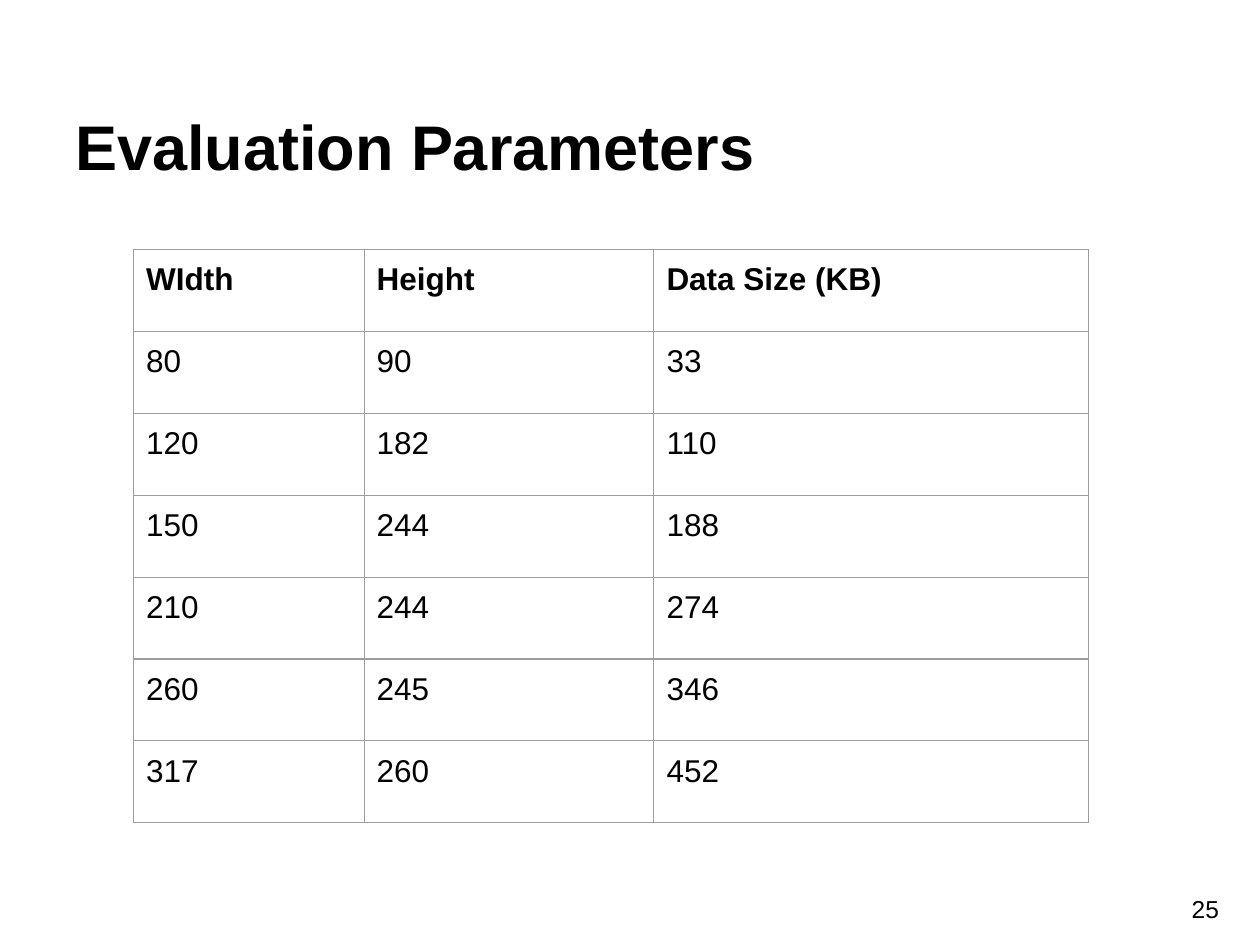
from lxml import etree
from pptx import Presentation
from pptx.dml.color import RGBColor
from pptx.enum.text import MSO_ANCHOR
from pptx.oxml.ns import qn
from pptx.util import Inches, Pt

BLACK = RGBColor(0x00, 0x00, 0x00)
GRAY = RGBColor(0x9E, 0x9E, 0x9E)
TOP, MIDDLE, BOTTOM = MSO_ANCHOR.TOP, MSO_ANCHOR.MIDDLE, MSO_ANCHOR.BOTTOM

GRID_COLUMNS, GRID_ROWS = 100, 75
BLANK_LAYOUT = 6
BORDER_SIDES = ("a:lnL", "a:lnR", "a:lnT", "a:lnB")

PARAMETERS = [
    ("WIdth", "Height", "Data Size (KB)"),
    ("80", "90", "33"),
    ("120", "182", "110"),
    ("150", "244", "188"),
    ("210", "244", "274"),
    ("260", "245", "346"),
    ("317", "260", "452"),
]


class SlideBuilder:
    font_name = "Arial"
    font_color = BLACK
    border_color = GRAY
    border_width = Pt(0.75)
    inset = Inches(0.1)

    def __init__(self, deck):
        self.page = deck.slides.add_slide(deck.slide_layouts[BLANK_LAYOUT])
        self.column = deck.slide_width / GRID_COLUMNS
        self.row = deck.slide_height / GRID_ROWS

    def across(self, columns):
        return round(columns * self.column)

    def down(self, rows):
        return round(rows * self.row)

    def area(self, left, top, width, height):
        return self.across(left), self.down(top), self.across(width), self.down(height)

    def set_margins(self, target):
        for side in ("left", "top", "right", "bottom"):
            setattr(target, f"margin_{side}", self.inset)

    def add_span(self, frame, text, **formats):
        span = frame.paragraphs[0].add_run()
        span.text = text
        for name, value in {"name": self.font_name, **formats}.items():
            setattr(span.font, name, value)
        span.font.color.rgb = self.font_color

    def text(self, text, area, anchor, **formats):
        frame = self.page.shapes.add_textbox(*self.area(*area)).text_frame
        frame.word_wrap = True
        frame.vertical_anchor = anchor
        self.set_margins(frame)
        self.add_span(frame, text, **formats)

    def border(self, cell):
        properties = cell._tc.get_or_add_tcPr()
        for position, side in enumerate(BORDER_SIDES):
            line = etree.Element(qn(side), w=str(self.border_width))
            fill = etree.SubElement(line, qn("a:solidFill"))
            etree.SubElement(fill, qn("a:srgbClr"), val=str(self.border_color))
            properties.insert(position, line)

    def table(self, records, left, top, widths, row_height, size):
        area = self.area(left, top, sum(widths), row_height * len(records))
        table = self.page.shapes.add_table(len(records), len(widths), *area).table
        table.first_row = table.horz_banding = False
        for column, width in zip(table.columns, widths):
            column.width = self.across(width)
        for index, (row, record) in enumerate(zip(table.rows, records)):
            row.height = self.down(row_height)
            for cell, value in zip(row.cells, record):
                cell.fill.background()
                cell.vertical_anchor = TOP
                self.set_margins(cell)
                self.border(cell)
                self.add_span(cell.text_frame, value, size=size, bold=index == 0)


def main():
    deck = Presentation()
    deck.slide_width, deck.slide_height = Inches(10), Inches(7.5)
    builder = SlideBuilder(deck)
    builder.text("Evaluation Parameters", (5, 3, 90, 12.5), BOTTOM, size=Pt(36), bold=True)
    builder.table(PARAMETERS, 10.6, 19.8, (18.3, 23, 34.5), 6.5, Pt(18))
    builder.text("25", (93.6, 69.3, 6, 5.7), MIDDLE, size=Pt(14))
    deck.save("out.pptx")


if __name__ == "__main__":
    main()
